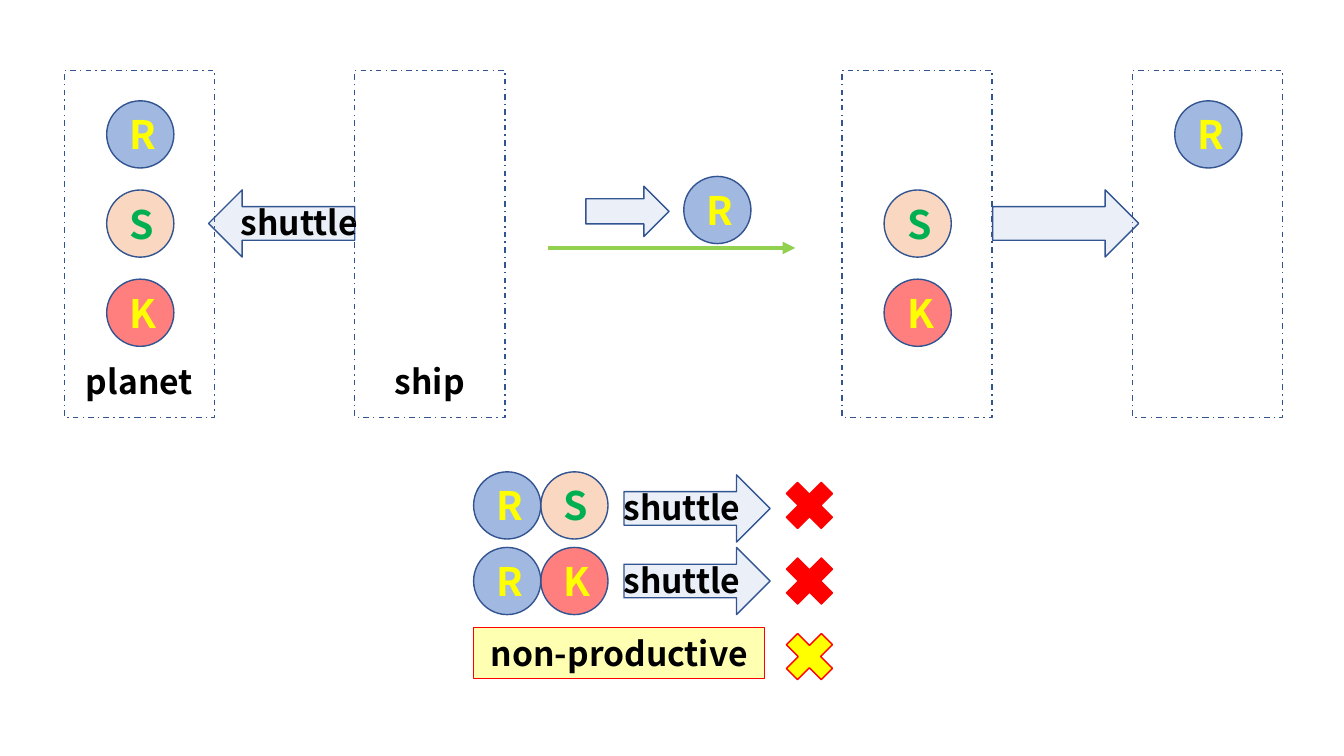
from lxml import etree
from pptx import Presentation
from pptx.dml.color import RGBColor
from pptx.enum.dml import MSO_LINE
from pptx.enum.shapes import MSO_CONNECTOR, MSO_SHAPE
from pptx.enum.text import MSO_ANCHOR, MSO_AUTO_SIZE, PP_ALIGN
from pptx.oxml.ns import qn
from pptx.util import Pt

RECT, OVAL, CROSS = MSO_SHAPE.RECTANGLE, MSO_SHAPE.OVAL, MSO_SHAPE.MATH_MULTIPLY
LEFT, RIGHT = MSO_SHAPE.LEFT_ARROW, MSO_SHAPE.RIGHT_ARROW
DASH, STRAIGHT = MSO_LINE.DASH_DOT, MSO_CONNECTOR.STRAIGHT
CENTER, TOP, MIDDLE = PP_ALIGN.CENTER, MSO_ANCHOR.TOP, MSO_ANCHOR.MIDDLE
GROW = MSO_AUTO_SIZE.SHAPE_TO_FIT_TEXT

FONT = "Noto Sans CJK SC"
COLORS = {
    "navy": "325491", "blue": "4472C4", "peach": "F4B183", "red": "FF0000",
    "yellow": "FFFF00", "green": "00B050", "lime": "92D050", "black": "000000",
}
TOKENS = {"R": ("blue", "yellow"), "S": ("peach", "green"), "K": ("red", "yellow")}
SIZE = 48
BOX_TOP, BOX_W, BOX_H = 50.4, 107.4, 247.7
TOKEN_TOP, STEP = 72, 63.7
ARROW_W = 104.4


def color(name):
    """Look up a named colour."""
    return RGBColor.from_string(COLORS[name])


def write(frame, text, size=24, ink="black", anchor=TOP):
    """Put bold centred text in a frame."""
    frame.word_wrap = True
    frame.auto_size = GROW
    frame.vertical_anchor = anchor
    para = frame.paragraphs[0]
    para.alignment = CENTER
    run = para.add_run()
    run.text = text
    font = run.font
    font.name, font.size, font.bold = FONT, Pt(size), True
    font.color.rgb = color(ink)


def label(slide, text, x, y, w, h=36, **style):
    """Add a text box."""
    box = slide.shapes.add_textbox(Pt(x), Pt(y), Pt(w), Pt(h))
    write(box.text_frame, text, **style)


def draw(slide, kind, x, y, w, h, fill=None, alpha=100, line="navy", width=1):
    """Add a preset shape; alpha is the fill's opacity in percent."""
    shape = slide.shapes.add_shape(kind, Pt(x), Pt(y), Pt(w), Pt(h))
    shape.shadow.inherit = False
    shape.line.color.rgb = color(line)
    shape.line.width = Pt(width)
    if fill is None:
        shape.fill.background()
        return shape
    shape.fill.solid()
    shape.fill.fore_color.rgb = color(fill)
    if alpha < 100:
        tint = shape.fill._xPr.find(qn("a:solidFill"))[0]
        etree.SubElement(tint, qn("a:alpha")).set("val", str(alpha * 1000))
    return shape


def token(slide, name, x, y):
    """Add a circle with its letter."""
    fill, ink = TOKENS[name]
    draw(slide, OVAL, x, y, SIZE, SIZE, fill, 50)
    label(slide, name, x + 9.4, y + 3.5, 28.8, 41, size=28, ink=ink)


def place(slide, x, names="", text=None):
    """Add a dashed box with tokens in their fixed rows and a label."""
    draw(slide, RECT, x, BOX_TOP, BOX_W, BOX_H).line.dash_style = DASH
    for row, name in enumerate(TOKENS):
        if name in names:
            token(slide, name, x + 30.2, TOKEN_TOP + row * STEP)
    if text:
        label(slide, text, x + 3.2, 254.2, 100.8)


def arrow(slide, kind, x, y, w=ARROW_W, h=SIZE, text=None, shift=0):
    """Add a pale block arrow, with text moved sideways by shift."""
    draw(slide, kind, x, y, w, h, "blue", 10)
    if text:
        label(slide, text, x + shift, y + 5.4, w)


def track(slide, x1, x2, y):
    """Add the green line that ends in an arrowhead."""
    line = slide.shapes.add_connector(STRAIGHT, Pt(x1), Pt(y), Pt(x2), Pt(y))
    line.line.color.rgb = color("lime")
    line.line.width = Pt(3)
    stroke = line.line._get_or_add_ln()
    etree.SubElement(stroke, qn("a:tailEnd")).set("type", "triangle")
    etree.SubElement(line._element.spPr, qn("a:effectLst"))


def main():
    """Build the slide."""
    deck = Presentation()
    deck.slide_width, deck.slide_height = Pt(960), Pt(540)
    slide = deck.slides.add_slide(deck.slide_layouts[6])

    place(slide, 46, "RSK", "planet")
    arrow(slide, LEFT, 149, 135.6, text="shuttle", shift=12.6)
    place(slide, 253.4, text="ship")

    track(slide, 391.7, 568.1, 177.1)
    arrow(slide, RIGHT, 418.5, 133, 59.4, 36)
    token(slide, "R", 488.4, 126)

    place(slide, 601.3, "SK")
    place(slide, 808.9, "R")
    arrow(slide, RIGHT, 709, 135.6)

    for pair, y, top in (("RS", 337, 339.2), ("RK", 391, 391)):
        for col, name in enumerate(pair):
            token(slide, name, 338.3 + col * SIZE, y)
        arrow(slide, RIGHT, 445.7, top, text="shuttle", shift=-10.8)
        draw(slide, CROSS, 554.2, y, SIZE, SIZE, "red", line="red")

    draw(slide, CROSS, 554.2, 445, SIZE, SIZE, "yellow", line="red")
    note = draw(slide, RECT, 338.3, 448.4, 208.1, 36.3, "yellow", 30, "red", 0.75)
    write(note.text_frame, "non-productive", anchor=TOP)

    deck.save("out.pptx")


if __name__ == "__main__":
    main()
